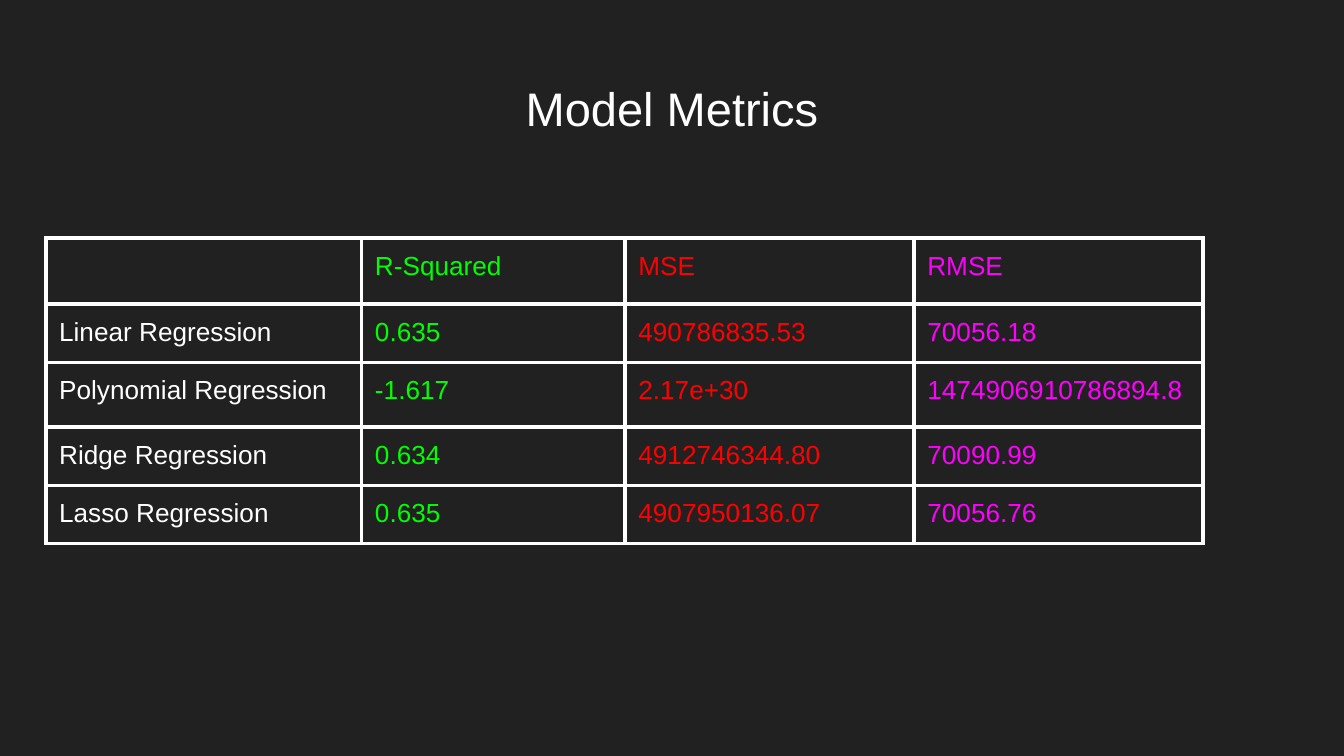
import dataclasses

import pptx
import pptx.dml.color
import pptx.enum.text
import pptx.oxml
import pptx.oxml.ns
import pptx.util

WIDTH = 10
HEIGHT = WIDTH * 9 / 16
MARGIN = 0.034 * WIDTH
COLUMNS = (2.35, 1.96, 2.15, 2.15)
ROWS = (0.43, 0.43, 0.48, 0.42, 0.43)
METRICS = (
    ("", "R-Squared", "MSE", "RMSE"),
    ("Linear Regression", "0.635", "490786835.53", "70056.18"),
    ("Polynomial Regression", "-1.617", "2.17e+30", "1474906910786894.8"),
    ("Ridge Regression", "0.634", "4912746344.80", "70090.99"),
    ("Lasso Regression", "0.635", "4907950136.07", "70056.76"),
)


@dataclasses.dataclass(frozen=True)
class Theme:
    """Colours, font and type sizes of the slide."""

    background: str = "212121"
    text: str = "FFFFFF"
    border: str = "FFFFFF"
    columns: tuple = ("FFFFFF", "00FF00", "FF0000", "FF00FF")
    font: str = "Arial"
    title_size: float = 25.2
    cell_size: float = 14
    empty_size: float = 17.5
    border_width: float = 2.25


THEME = Theme()


def rgb(value):
    """Turn a hex string into a colour."""
    return pptx.dml.color.RGBColor.from_string(value)


def set_attributes(obj, values):
    """Set each attribute named in a dict."""
    for name, value in values.items():
        setattr(obj, name, value)


def set_margins(obj):
    """Give a cell or text frame equal insets."""
    sides = ("left", "top", "right", "bottom")
    set_attributes(obj, {f"margin_{side}": pptx.util.Inches(0.1) for side in sides})


def write_text(p, text, size, color):
    """Write one formatted run into a paragraph."""
    r = p.add_run()
    r.text = text
    set_attributes(r.font, {"name": THEME.font, "size": pptx.util.Pt(size)})
    r.font.color.rgb = rgb(color)


def format_paragraph_end(p, size):
    """Give the paragraph mark the slide's font and a size."""
    p._p.append(pptx.oxml.parse_xml(
        f'<a:endParaRPr {pptx.oxml.ns.nsdecls("a")} sz="{round(size * 100)}">'
        f'<a:latin typeface="{THEME.font}"/><a:ea typeface="{THEME.font}"/>'
        f'<a:cs typeface="{THEME.font}"/></a:endParaRPr>'
    ))


def add_title(s, text):
    """Add the centred title."""
    box = (MARGIN, 0.086 * HEIGHT, WIDTH - 2 * MARGIN, 0.112 * HEIGHT)
    tf = s.shapes.add_textbox(*map(pptx.util.Inches, box)).text_frame
    set_attributes(tf, {
        "word_wrap": True,
        "vertical_anchor": pptx.enum.text.MSO_ANCHOR.MIDDLE,
    })
    set_margins(tf)
    p = tf.paragraphs[0]
    p.alignment = pptx.enum.text.PP_ALIGN.CENTER
    write_text(p, text, THEME.title_size, THEME.text)


def add_borders(cell):
    """Draw a line on all four sides of a cell."""
    tc_pr = cell._tc.get_or_add_tcPr()
    width = pptx.util.Pt(THEME.border_width)
    for i, side in enumerate(("lnL", "lnR", "lnT", "lnB")):
        tc_pr.insert(i, pptx.oxml.parse_xml(
            f'<a:{side} {pptx.oxml.ns.nsdecls("a")} w="{width}"><a:solidFill>'
            f'<a:srgbClr val="{THEME.border}"/></a:solidFill></a:{side}>'
        ))


def fill_cell(cell, text, color):
    """Format one cell and write its text."""
    set_margins(cell)
    cell.fill.background()
    add_borders(cell)
    p = cell.text_frame.paragraphs[0]
    if text:
        write_text(p, text, THEME.cell_size, color)
    format_paragraph_end(p, THEME.cell_size if text else THEME.empty_size)


def add_metrics_table(s):
    """Add the bordered table with one text colour per column."""
    box = (MARGIN, 0.315 * HEIGHT, sum(COLUMNS), sum(ROWS))
    table = s.shapes.add_table(
        len(ROWS), len(COLUMNS), *map(pptx.util.Inches, box)
    ).table
    set_attributes(table, {"first_row": False, "horz_banding": False})
    for column, width in zip(table.columns, COLUMNS):
        column.width = pptx.util.Inches(width)
    for row, height, texts in zip(table.rows, ROWS, METRICS):
        row.height = pptx.util.Inches(height)
        for cell, text, color in zip(row.cells, texts, THEME.columns):
            fill_cell(cell, text, color)


def main():
    """Build and save the slide."""
    prs = pptx.Presentation()
    set_attributes(prs, {
        "slide_width": pptx.util.Inches(WIDTH),
        "slide_height": pptx.util.Inches(HEIGHT),
    })
    s = prs.slides.add_slide(prs.slide_layouts[6])
    s.background.fill.solid()
    s.background.fill.fore_color.rgb = rgb(THEME.background)
    add_title(s, "Model Metrics")
    add_metrics_table(s)
    prs.save("out.pptx")


if __name__ == "__main__":
    main()
